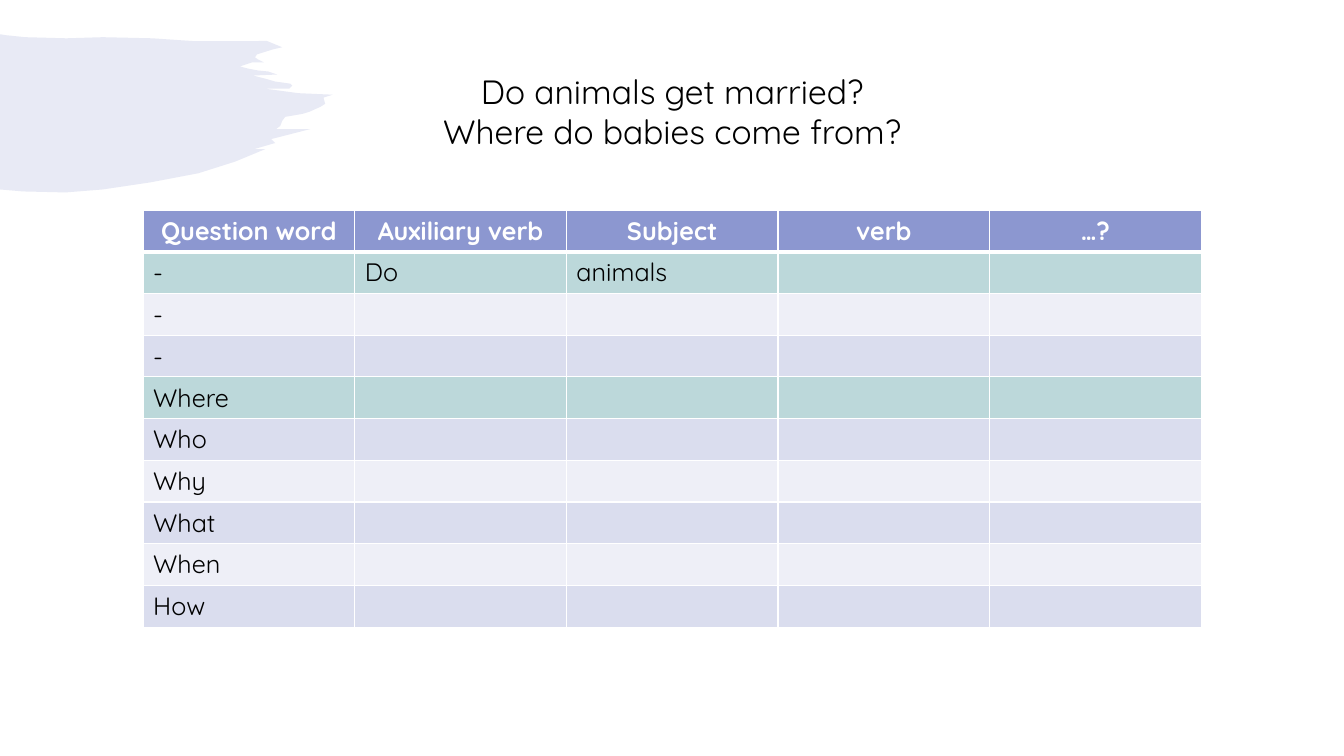
from dataclasses import dataclass

from lxml import etree
from pptx import Presentation
from pptx.dml.color import RGBColor
from pptx.enum.text import MSO_AUTO_SIZE, PP_ALIGN
from pptx.oxml.ns import qn
from pptx.util import Pt

CENTER, LEFT = PP_ALIGN.CENTER, PP_ALIGN.LEFT
GROW = MSO_AUTO_SIZE.SHAPE_TO_FIT_TEXT

WHITE = RGBColor(0xFF, 0xFF, 0xFF)
BLACK = RGBColor(0x00, 0x00, 0x00)
PERIWINKLE = RGBColor(0x8C, 0x97, 0xD0)
TEAL = RGBColor(0xBC, 0xD8, 0xDA)
PALE = RGBColor(0xEE, 0xEF, 0xF7)
LILAC = RGBColor(0xDA, 0xDD, 0xEE)

FONT = "Quicksand"
TITLE_FORMAT = {"name": FONT, "size": Pt(24), "bold": False}
HEADER_FORMAT = {"name": FONT, "size": Pt(18), "bold": True}
BODY_FORMAT = {"name": FONT, "size": Pt(18), "bold": False}

TITLE_LINES = ("Do animals get married?", "Where do babies come from?")
COLUMN_COUNT = 5
TABLE_LEFT, TABLE_TOP = 102.2, 150
COLUMN_WIDTH, ROW_HEIGHT = 151.2, 29.23

BRUSH_OUTLINE = (
    (0, 24.5), (4.3, 25.2), (18, 26.6), (47.5, 27.4), (73.4, 26.6),
    (108.7, 27.4), (139.7, 29.5), (178.6, 29.5), (190.4, 29.2), (201.6, 33.8),
    (195.1, 35.3), (183.6, 38.9), (182.2, 41), (184.3, 42.5), (188.6, 44.6),
    (179.7, 44.7), (171.4, 47.5), (177.1, 49), (184.3, 50.4), (191.5, 51.1),
    (198, 53.3), (180.7, 54), (189.4, 56.2), (196.6, 58.3), (201.6, 59),
    (207.4, 59.8), (208.8, 61.2), (206.6, 63.4), (189.4, 63.4), (213.2, 66.6),
    (237.6, 67.7), (231.1, 69.8), (232.3, 74.2), (229, 76.3), (221, 79.9),
    (216, 81.4), (203.8, 83.5), (201.6, 86.4), (200.2, 90), (197.3, 92.2),
    (221.8, 92.2), (193.7, 99.4), (196.6, 102.2), (181.4, 106.6),
    (189.4, 106.6), (168, 115.5), (141.8, 123.8), (107.5, 130.3),
    (73.4, 135.4), (46.8, 137.5), (16.6, 136.8), (0, 135.4),
)


@dataclass(frozen=True)
class QuestionRow:
    words: tuple[str, ...]
    fill: RGBColor
    color: RGBColor = BLACK
    align: PP_ALIGN = LEFT
    is_header: bool = False


ROWS = (
    QuestionRow(("Question word", "Auxiliary verb", "Subject", "verb", "…?"),
                PERIWINKLE, WHITE, CENTER, True),
    QuestionRow(("-", "Do", "animals"), TEAL),
    QuestionRow(("-",), PALE),
    QuestionRow(("-",), LILAC),
    QuestionRow(("Where",), TEAL),
    QuestionRow(("Who",), LILAC),
    QuestionRow(("Why",), PALE),
    QuestionRow(("What",), LILAC),
    QuestionRow(("When",), PALE),
    QuestionRow(("How",), LILAC),
)


def write_text(para, text: str, font_format: dict, color: RGBColor, align: PP_ALIGN) -> None:
    para.alignment = align
    span = para.add_run() if text else para
    if text:
        span.text = text
    for name, value in font_format.items():
        setattr(span.font, name, value)
    span.font.color.rgb = color


def draw_brush_stroke(page) -> None:
    points = [(Pt(x), Pt(y)) for x, y in BRUSH_OUTLINE]
    builder = page.shapes.build_freeform(*points[0], scale=1.0)
    builder.add_line_segments(points[1:], close=True)
    stroke = builder.convert_to_shape()
    stroke.shadow.inherit = False
    stroke.line.fill.background()
    stroke.fill.solid()
    stroke.fill.fore_color.rgb = PERIWINKLE
    color = stroke.fill._xPr.find(qn("a:solidFill")).find(qn("a:srgbClr"))
    etree.SubElement(color, qn("a:alpha"), val="20000")


def set_borders(cell, widths: dict[str, int]) -> None:
    """Draw white borders; keys are the sides in schema order: L, R, T, B."""
    properties = cell._tc.get_or_add_tcPr()
    for index, (side, width) in enumerate(widths.items()):
        line = etree.Element(qn(f"a:ln{side}"), w=str(Pt(width)))
        fill = etree.SubElement(line, qn("a:solidFill"))
        etree.SubElement(fill, qn("a:srgbClr"), val=str(WHITE))
        properties.insert(index, line)


def draw_question_table(page) -> None:
    frame = page.shapes.add_table(
        len(ROWS), COLUMN_COUNT, Pt(TABLE_LEFT), Pt(TABLE_TOP),
        Pt(COLUMN_WIDTH * COLUMN_COUNT), Pt(ROW_HEIGHT * len(ROWS)))
    table = frame.table
    for column in table.columns:
        column.width = Pt(COLUMN_WIDTH)
    for row_index, row in enumerate(ROWS):
        table.rows[row_index].height = Pt(ROW_HEIGHT)
        font_format = HEADER_FORMAT if row.is_header else BODY_FORMAT
        widths = {"L": 1, "R": 1, "T": 3 if row_index == 1 else 1,
                  "B": 3 if row.is_header else 1}
        for column_index in range(COLUMN_COUNT):
            cell = table.cell(row_index, column_index)
            cell.fill.solid()
            cell.fill.fore_color.rgb = row.fill
            set_borders(cell, widths)
            text = row.words[column_index] if column_index < len(row.words) else ""
            write_text(cell.text_frame.paragraphs[0], text, font_format,
                       row.color, row.align)


def draw_title(page) -> None:
    box = page.shapes.add_textbox(Pt(240), Pt(46.8), Pt(480), Pt(65.5))
    frame = box.text_frame
    frame.word_wrap = True
    frame.auto_size = GROW
    for index, text in enumerate(TITLE_LINES):
        para = frame.add_paragraph() if index else frame.paragraphs[0]
        write_text(para, text, TITLE_FORMAT, BLACK, CENTER)


def main() -> None:
    deck = Presentation()
    deck.slide_width, deck.slide_height = Pt(960), Pt(540)
    page = deck.slides.add_slide(deck.slide_layouts[6])
    draw_brush_stroke(page)
    draw_question_table(page)
    draw_title(page)
    deck.save("out.pptx")


if __name__ == "__main__":
    main()
